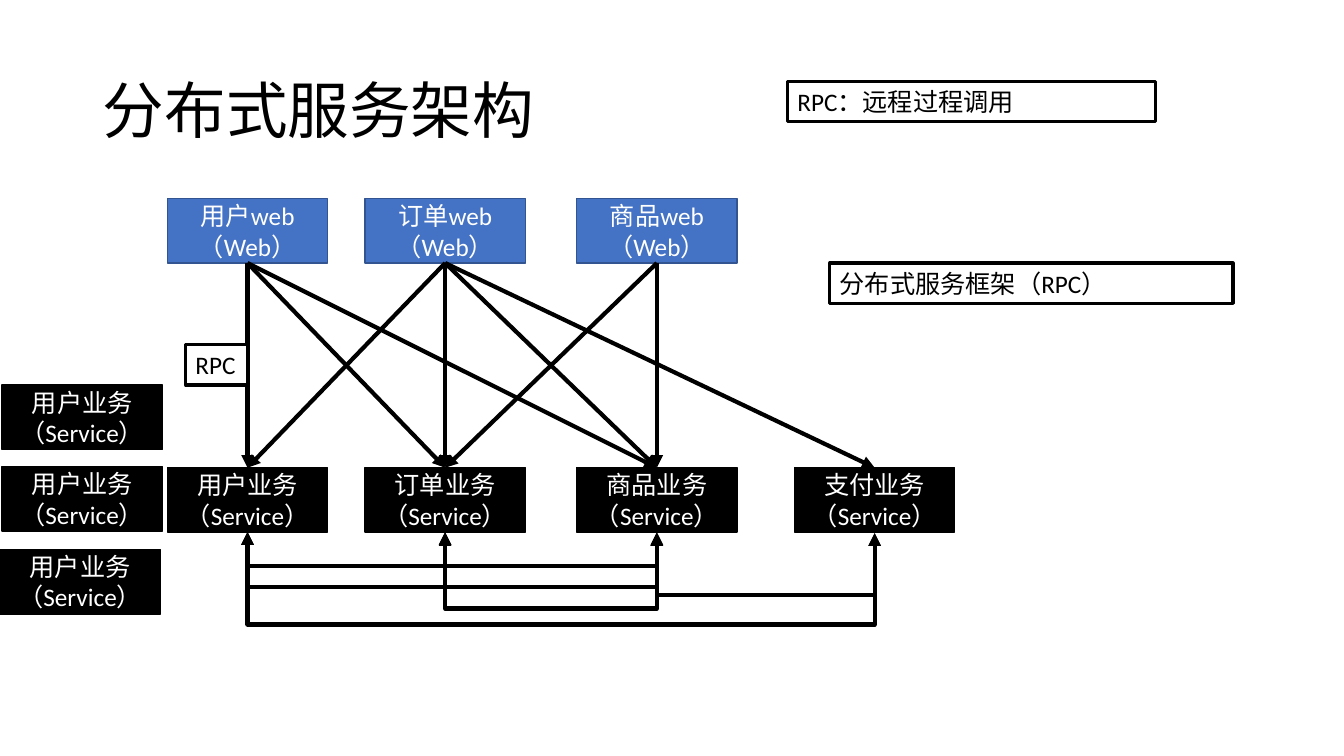
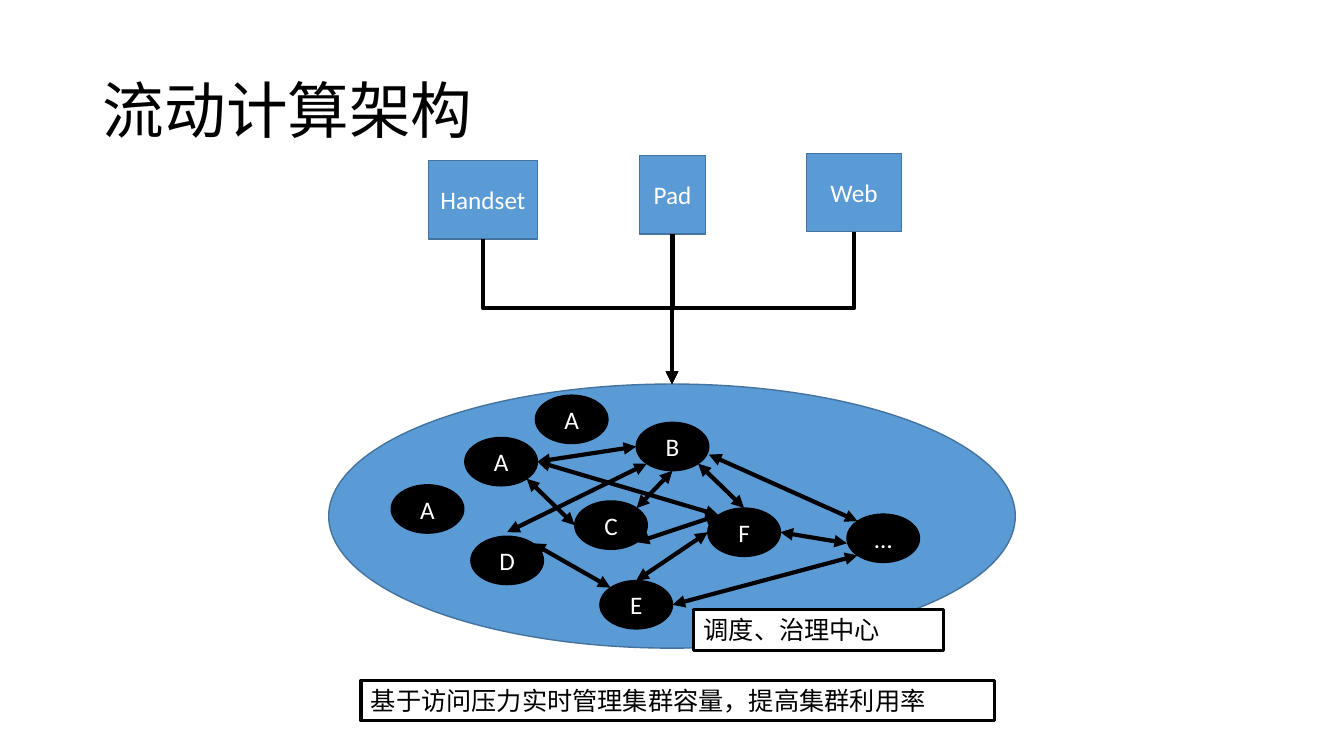
from math import cos, radians, sin
from typing import NamedTuple

from lxml.etree import SubElement
from pptx import Presentation
from pptx.dml.color import RGBColor
from pptx.enum.shapes import MSO_CONNECTOR, MSO_SHAPE
from pptx.enum.text import MSO_ANCHOR, MSO_AUTO_SIZE, PP_ALIGN
from pptx.oxml.ns import qn
from pptx.util import Inches, Pt

COLORS = {
    "black": "000000",
    "white": "FFFFFF",
    "web": "4472C4",
    "web_line": "325491",
    "sky": "5B9BD5",
    "sky_line": "43739E",
}
FONT = "Calibri"


class Point(NamedTuple):
    x: float
    y: float


class Box(NamedTuple):
    left: float
    top: float
    width: float
    height: float
    lines: tuple[str, ...] = ()
    fill: str = "black"
    line: str = "black"
    shape: MSO_SHAPE = MSO_SHAPE.RECTANGLE

    @property
    def center(self) -> Point:
        return Point(self.left + self.width / 2, self.top + self.height / 2)

    @property
    def top_middle(self) -> Point:
        return Point(self.center.x, self.top)

    @property
    def bottom_middle(self) -> Point:
        return Point(self.center.x, self.top + self.height)

    def rim(self, angle: float, shift: float = 0) -> Point:
        """Point on the ellipse, clockwise from the right, moved down by shift."""
        return Point(self.center.x + self.width / 2 * cos(radians(angle)),
                     self.center.y + self.height / 2 * sin(radians(angle)) + shift)


class Note(NamedTuple):
    left: float
    top: float
    width: float
    text: str


class Link(NamedTuple):
    start: str
    start_angle: float
    end: str
    end_angle: float
    start_shift: float = 0
    end_shift: float = 0


# Shared drawing functions
def rgb(name: str) -> RGBColor:
    return RGBColor.from_string(COLORS[name])


def write(text_frame, lines: tuple[str, ...], color: str, size: float = 18,
          alignment=PP_ALIGN.LEFT) -> None:
    text_frame.text = "\n".join(lines)
    for paragraph in text_frame.paragraphs:
        paragraph.alignment = alignment
        paragraph.font.name = FONT
        paragraph.font.size = Pt(size)
        paragraph.font.color.rgb = rgb(color)


def paint(shape, fill: str, line: str, width: float) -> None:
    shape.fill.solid()
    shape.fill.fore_color.rgb = rgb(fill)
    shape.line.color.rgb = rgb(line)
    shape.line.width = Pt(width)


def draw_box(slide, box: Box) -> None:
    shape = slide.shapes.add_shape(box.shape, Inches(box.left), Inches(box.top),
                                   Inches(box.width), Inches(box.height))
    shape.shadow.inherit = False
    paint(shape, box.fill, box.line, 1)
    if box.lines:
        shape.text_frame.vertical_anchor = MSO_ANCHOR.MIDDLE
        write(shape.text_frame, box.lines, "white", alignment=PP_ALIGN.CENTER)


def draw_note(slide, note: Note) -> None:
    shape = slide.shapes.add_textbox(Inches(note.left), Inches(note.top),
                                     Inches(note.width), Inches(0.4))
    paint(shape, "white", "black", 2.25)
    shape.text_frame.word_wrap = True
    shape.text_frame.auto_size = MSO_AUTO_SIZE.SHAPE_TO_FIT_TEXT
    write(shape.text_frame, (note.text,), "black")


def style_connector(connector, both_ends: bool) -> None:
    connector.line.color.rgb = rgb("black")
    connector.line.width = Pt(3)
    line = connector.line._get_or_add_ln()
    for end in ("headEnd", "tailEnd") if both_ends else ("tailEnd",):
        SubElement(line, qn(f"a:{end}"), type="triangle")
    SubElement(connector._element.spPr, qn("a:effectLst"))


def draw_arrow(slide, start: Point, end: Point, both_ends: bool = False) -> None:
    connector = slide.shapes.add_connector(
        MSO_CONNECTOR.STRAIGHT, *(Inches(value) for value in (*start, *end)))
    style_connector(connector, both_ends)


def draw_elbow(slide, start: Point, end: Point, bend: float,
               both_ends: bool = False) -> None:
    """Leave start vertically, cross at height bend, reach end vertically."""
    width, height = end.y - start.y, abs(end.x - start.x)
    left = (start.x + end.x - width) / 2
    top = (start.y + end.y - height) / 2
    connector = slide.shapes.add_connector(
        MSO_CONNECTOR.ELBOW, Inches(left), Inches(top),
        Inches(left + width), Inches(top + height))
    properties = connector._element.spPr
    transform = properties.find(qn("a:xfrm"))
    if end.x < start.x:
        transform.set("rot", str(90 * 60000))
    else:
        transform.set("rot", str(270 * 60000))
        transform.set("flipH", "1")
    guides = properties.find(qn("a:prstGeom")).find(qn("a:avLst"))
    share = round((bend - start.y) / width * 100000)
    SubElement(guides, qn("a:gd"), name="adj1", fmla=f"val {share}")
    style_connector(connector, both_ends)


def add_titled_slide(presentation, title: str):
    slide = presentation.slides.add_slide(presentation.slide_layouts[5])
    shape = slide.shapes.title
    shape.left, shape.top = Inches(0.92), Inches(0.4)
    shape.width, shape.height = Inches(11.5), Inches(1.45)
    shape.text_frame.vertical_anchor = MSO_ANCHOR.MIDDLE
    write(shape.text_frame, (title,), "black", 44)
    shape.text_frame.paragraphs[0].line_spacing = 0.9
    return slide


# Slide 1: web applications calling services
def service(left: float, top: float, name: str) -> Box:
    return Box(left, top, 1.59, 0.64, (f"{name}业务", "（Service）"))


def build_distributed_services(presentation) -> None:
    slide = add_titled_slide(presentation, "分布式服务架构")
    names = ("用户", "订单", "商品", "支付")
    lefts = (1.66, 3.62, 5.72, 7.88)
    services = [service(left, 4.64, name) for left, name in zip(lefts, names)]
    webs = [Box(left, 1.97, 1.59, 0.64, (f"{name}web", "（Web）"), "web", "web_line")
            for left, name in zip(lefts[:3], names)]
    replicas = [service(left, top, "用户")
                for left, top in ((0.02, 3.82), (0.02, 4.63), (0, 5.45))]
    for box in services + webs + replicas:
        draw_box(slide, box)

    # Services used by each web application
    for web, used in zip(webs, ((0, 1, 2), (0, 1, 2, 3), (1, 2))):
        for index in used:
            draw_arrow(slide, web.bottom_middle, services[index].top_middle)

    # Calls between services: first, second, height of the crossing line
    calls = ((0, 3, 6.21), (0, 2, 5.83), (0, 1, 5.62),
             (1, 2, 5.62), (1, 2, 6.05), (2, 3, 5.91))
    for first, second, bend in calls:
        start, end = services[first].bottom_middle, services[second].bottom_middle
        draw_elbow(slide, start, Point(end.x, end.y + 0.01), bend, both_ends=True)

    for note in (Note(1.84, 3.42, 0.62, "RPC"),
                 Note(7.81, 0.81, 3.65, "RPC：远程过程调用"),
                 Note(8.23, 2.61, 4, "分布式服务框架（RPC）")):
        draw_note(slide, note)


# Slide 2: clients and a governed cluster
def node(left: float, top: float, label: str) -> Box:
    return Box(left, top, 0.72, 0.48, (label,), shape=MSO_SHAPE.OVAL)


def build_flow_computing(presentation) -> None:
    slide = add_titled_slide(presentation, "流动计算架构")
    cluster = Box(3.26, 3.81, 6.81, 2.62, (), "sky", "sky_line", MSO_SHAPE.OVAL)
    clients = [Box(left, top, width, 0.78, (label,), "sky", "sky_line")
               for left, top, width, label in ((4.25, 1.59, 1.08, "Handset"),
                                               (6.34, 1.54, 0.66, "Pad"),
                                               (8, 1.52, 0.94, "Web"))]
    nodes = {label: node(left, top, label)
             for label, left, top in (("A", 4.61, 4.34), ("D", 4.67, 5.32),
                                      ("C", 5.7, 4.97), ("B", 6.31, 4.19),
                                      ("E", 5.95, 5.76), ("F", 7.02, 5.04),
                                      ("…", 8.4, 5.1))}
    replicas = [node(3.88, 4.81, "A"), node(5.31, 3.92, "A")]
    for box in (cluster, *nodes.values(), *replicas, *clients):
        draw_box(slide, box)

    for client in clients:
        draw_elbow(slide, client.bottom_middle, cluster.top_middle, 3.06)

    # Links between nodes, from rim angle to rim angle
    links = (
        Link("B", 45, "F", 270),
        Link("F", 180, "E", 270),
        Link("F", 225, "C", 45),
        Link("A", 0, "B", 180),
        Link("B", 90, "C", 315),
        Link("D", 315, "E", 225),
        Link("A", 45, "C", 180),
        Link("F", 225, "A", 0),
        Link("F", 0, "…", 180, end_shift=0.05),
        Link("D", 270, "B", 135, start_shift=-0.04),
        Link("B", 0, "…", 225, start_shift=0.08),
        Link("E", 0, "…", 135),
    )
    for link in links:
        draw_arrow(slide, nodes[link.start].rim(link.start_angle, link.start_shift),
                   nodes[link.end].rim(link.end_angle, link.end_shift), both_ends=True)

    for note in (Note(6.88, 6.05, 2.48, "调度、治理中心"),
                 Note(3.58, 6.75, 6.28, "基于访问压力实时管理集群容量，提高集群利用率")):
        draw_note(slide, note)


presentation = Presentation()
presentation.slide_width, presentation.slide_height = Inches(13.33), Inches(7.5)
build_distributed_services(presentation)
build_flow_computing(presentation)
presentation.save("out.pptx")
